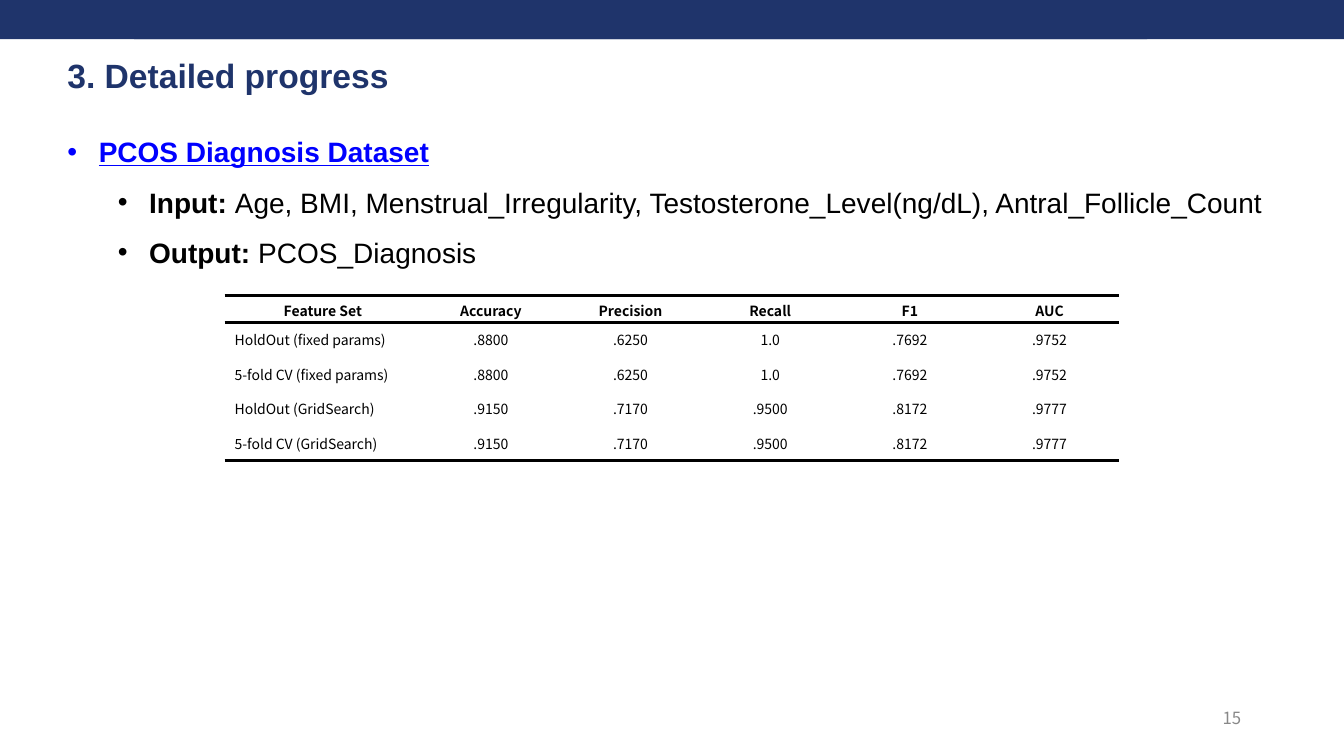
"""Build the slide on PCOS diagnosis progress."""
from lxml.etree import SubElement
from pptx import Presentation
from pptx.dml.color import RGBColor
from pptx.enum.shapes import MSO_SHAPE as Preset
from pptx.enum.text import MSO_ANCHOR as Anchor, PP_ALIGN as Align
from pptx.oxml.ns import qn
from pptx.util import Cm, Pt

NAVY, BLUE, BLACK, GREY, WHITE = "1F346B", "0000FF", "000000", "888888", "FFFFFF"
SANS, CJK = "Arial", "Noto Sans CJK KR"

TITLE = "3. Detailed progress"
PAGE = "15"
OUTLINE = [
    (0, [("PCOS Diagnosis Dataset", dict(color=BLUE, bold=True, underline=True))]),
    (1, [("Input: ", dict(bold=True)),
         ("Age, BMI, Menstrual_Irregularity, Testosterone_Level(ng/dL), "
          "Antral_Follicle_Count", {})]),
    (1, [("Output: ", dict(bold=True)), ("PCOS_Diagnosis", {})]),
]
SCORES = [
    ("Feature Set", "Accuracy", "Precision", "Recall", "F1", "AUC"),
    ("HoldOut (fixed params)", ".8800", ".6250", "1.0", ".7692", ".9752"),
    ("5-fold CV (fixed params)", ".8800", ".6250", "1.0", ".7692", ".9752"),
    ("HoldOut (GridSearch)", ".9150", ".7170", ".9500", ".8172", ".9777"),
    ("5-fold CV (GridSearch)", ".9150", ".7170", ".9500", ".8172", ".9777"),
]
BANDS = [(0, 28.91), (3.38, 30.49)]
BAND_HEIGHT = 0.99
INDENT, LEVEL_STEP = 0.79, 1.27
FEATURE_WIDTH, SCORE_WIDTH = 4.95, 3.52
HEADER_HEIGHT, ROW_HEIGHT = 0.51, 0.87


def paint(target, color):
    if hasattr(target, "solid"):
        target.solid()
        target = target.fore_color
    target.rgb = RGBColor.from_string(color)


def write(paragraph, text, color=BLACK, **formats):
    run = paragraph.add_run()
    run.text = text
    for name, value in formats.items():
        setattr(run.font, name, value)
    paint(run.font.color, color)
    if formats["name"] == CJK:
        SubElement(run.font._element, qn("a:ea"), typeface=CJK)


def text_frame(slide, left, top, width, height, margin_top=0):
    frame = slide.shapes.add_textbox(Cm(left), Cm(top), Cm(width), Cm(height)).text_frame
    layout = dict(word_wrap=True, margin_left=0, margin_right=0,
                  margin_top=Cm(margin_top), margin_bottom=0)
    for name, value in layout.items():
        setattr(frame, name, value)
    return frame


def add_bullet(paragraph, level):
    properties = paragraph._p.get_or_add_pPr()
    properties.set("marL", str(Cm(INDENT + level * LEVEL_STEP)))
    properties.set("indent", str(-Cm(INDENT)))
    SubElement(properties, qn("a:buFont"), typeface=SANS)
    SubElement(properties, qn("a:buChar"), char="•")


def rule_cell(cell, ruled_edges):
    properties = cell._tc.get_or_add_tcPr()
    for edge in "LRTB":
        line = SubElement(properties, qn(f"a:ln{edge}"), w=str(Pt(2.25)))
        if edge in ruled_edges:
            fill = SubElement(line, qn("a:solidFill"))
            SubElement(fill, qn("a:srgbClr"), val=BLACK)
        else:
            SubElement(line, qn("a:noFill"))


def add_scores(slide):
    rows, columns = len(SCORES), len(SCORES[0])
    widths = [FEATURE_WIDTH] + [SCORE_WIDTH] * (columns - 1)
    heights = [HEADER_HEIGHT] + [ROW_HEIGHT] * (rows - 1)
    table = slide.shapes.add_table(rows, columns, Cm(5.66), Cm(7.44),
                                   Cm(sum(widths)), Cm(sum(heights))).table
    table.first_row = table.horz_banding = False
    for column, width in zip(table.columns, widths):
        column.width = Cm(width)
    ruled = {0: "TB", 1: "T", rows - 1: "B"}
    for r, (values, height) in enumerate(zip(SCORES, heights)):
        table.rows[r].height = Cm(height)
        for c, value in enumerate(values):
            cell = table.cell(r, c)
            rule_cell(cell, ruled.get(r, ""))
            paint(cell.fill, WHITE)
            cell.vertical_anchor = Anchor.MIDDLE
            entry = cell.text_frame.paragraphs[0]
            entry.alignment = Align.LEFT if r and not c else Align.CENTER
            write(entry, value, name=CJK, size=Pt(10), bold=r == 0)


def main():
    deck = Presentation()
    deck.slide_width, deck.slide_height = Cm(33.87), Cm(19.05)
    slide = deck.slides.add_slide(deck.slide_layouts[6])

    for left, width in BANDS:
        band = slide.shapes.add_shape(Preset.RECTANGLE, Cm(left), 0, Cm(width), Cm(BAND_HEIGHT))
        band.shadow.inherit = False
        paint(band.fill, NAVY)
        band.line.fill.background()

    title = text_frame(slide, 1.7, 1.24, 31.55, 1.09, margin_top=0.03).paragraphs[0]
    title.line_spacing = Pt(32)
    write(title, TITLE, NAVY, name=SANS, size=Pt(24), bold=True)

    page = text_frame(slide, 30.71, 17.83, 0.71, 0.64).paragraphs[0]
    page._p.get_or_add_pPr().set("marL", str(Cm(0.1)))
    write(page, PAGE, GREY, name=CJK, size=Pt(12))

    outline = text_frame(slide, 1.7, 2.97, 30.91, 5.05)
    for i, (level, parts) in enumerate(OUTLINE):
        point = outline.add_paragraph() if i else outline.paragraphs[0]
        add_bullet(point, level)
        point.level = level
        point.line_spacing = 1.5
        for text, formats in parts:
            write(point, text, name=SANS, size=Pt(20), **formats)

    add_scores(slide)
    deck.save("out.pptx")


if __name__ == "__main__":
    main()
